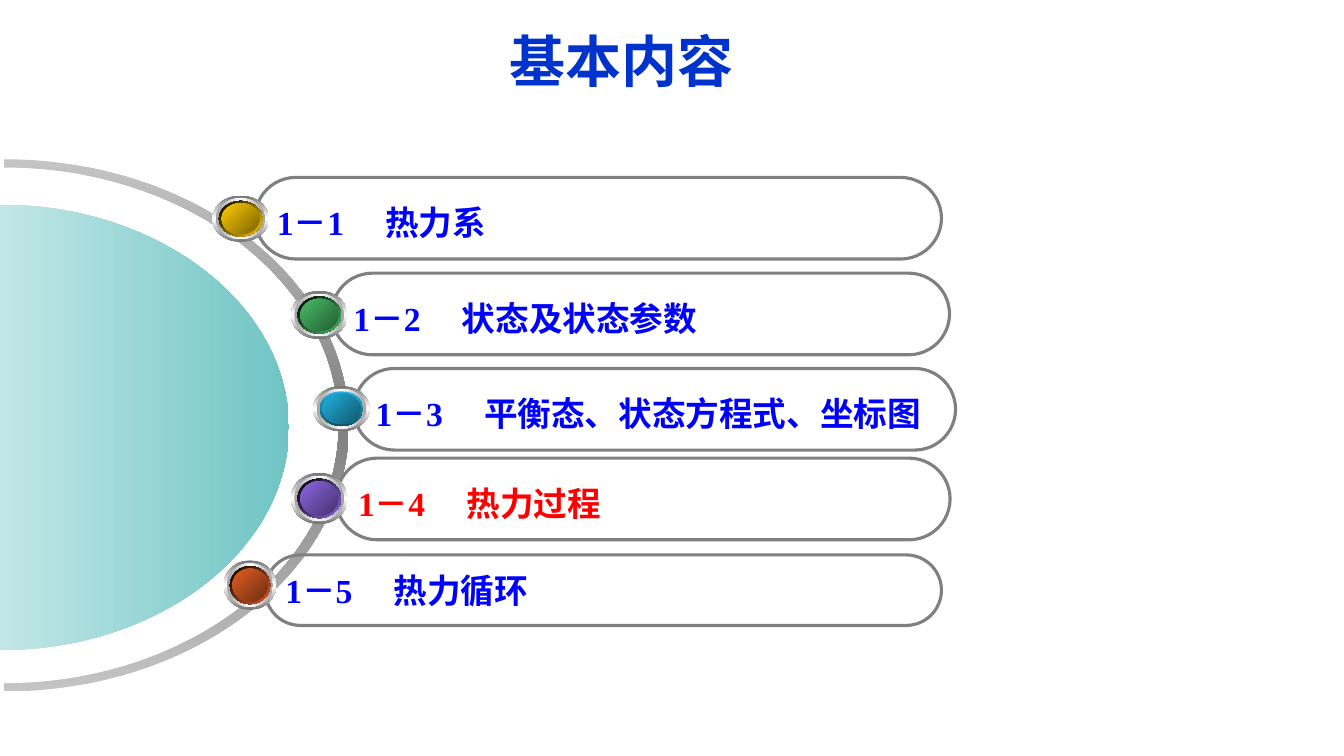
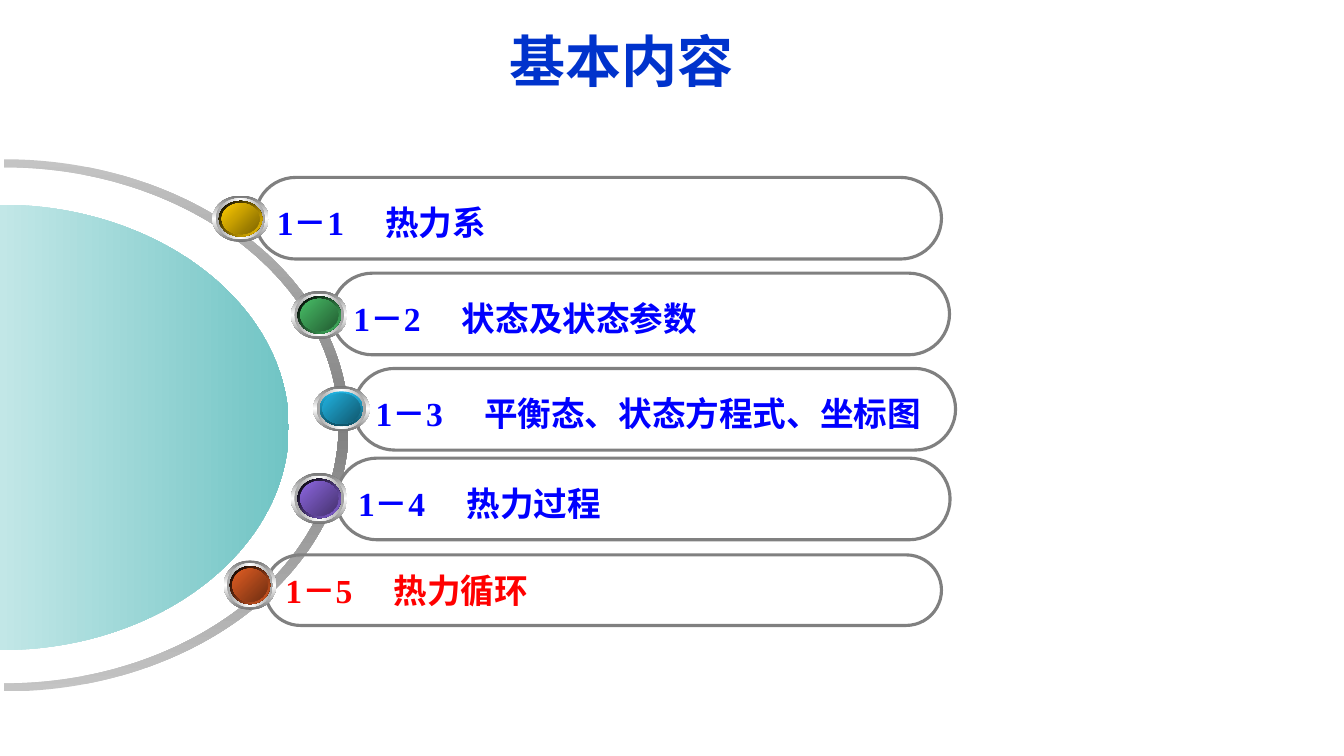
from dataclasses import dataclass

from lxml.etree import SubElement
from pptx import Presentation
from pptx.dml.color import RGBColor
from pptx.enum.shapes import MSO_SHAPE as Shape
from pptx.enum.text import MSO_ANCHOR as Anchor, PP_ALIGN as Align
from pptx.oxml.ns import qn
from pptx.util import Inches, Pt

CELL = Inches(0.1)  # the grid: every position and size is counted in cells
COLUMNS, ROWS = 133.33, 75
TITLE_TAB = 10.75
ARC_PULL = 0.55  # share of the way to the corner that bends a quarter ellipse

COLOURS = {
    "title": "0033CC", "item": "0000FF", "current": "FF0000",
    "outline": "808080", "arc_end": "C4C4C4", "arc_middle": "808080",
    "disc_left": "C2E7E7", "disc_right": "70C4C4",
    "rim": "767676", "bevel": "A2A2A2", "shine": "FFFFFF", "shade": "000000",
}


@dataclass
class Topic:
    number: str
    title: str
    pill: tuple  # left, top, width, height
    bead: tuple  # centre x, centre y, width, height
    colour: str
    dark: str
    socket: tuple = ()  # colours and angle, when not shaded from black
    spacing: float = 1.2


TOPICS = [
    Topic("1－1", "热力系", (25.3, 17.6, 68.1, 8.1),
          (23.87, 21.7, 5.6, 4.6), "FFCC00", "7C6300"),
    Topic("1－2", "状态及状态参数", (32.9, 27.1, 61.3, 8.1),
          (31.67, 31.25, 5.6, 4.8), "48BE67", "235C32"),
    Topic("1－3", "平衡态、状态方程式、坐标图", (35.1, 36.55, 59.7, 8.1),
          (33.87, 40.55, 5.6, 4.5), "21B3E1", "10576D",
          socket=(("21B3E1", "0F5368"), 90)),
    Topic("1－4", "热力过程", (33.35, 45.45, 60.9, 8.1),
          (31.67, 49.45, 5.6, 5.1), "8D67E1", "45326D"),
    Topic("1－5", "热力循环", (26.3, 55.05, 67.1, 7),
          (24.8, 58.05, 5.2, 4.9), "E35E23", "6E2E11", spacing=1),
]


def cells(*counts):
    return [round(count * CELL) for count in counts]


def rgb(name):
    return RGBColor.from_string(COLOURS[name])


def fill_gradient(shape, colours, angle):
    """Spread the colours evenly; the angle turns clockwise from left-to-right."""
    shape.shadow.inherit = False
    shape.line.fill.background()
    shape.fill.gradient()
    gradient = shape._element.spPr.find(qn("a:gradFill"))
    stops = gradient.find(qn("a:gsLst"))
    for stop in list(stops):
        stops.remove(stop)
    for index, colour in enumerate(colours):
        position = round(100000 * index / (len(colours) - 1))
        stop = SubElement(stops, qn("a:gs"), pos=str(position))
        SubElement(stop, qn("a:srgbClr"), val=colour)
    gradient.find(qn("a:lin")).set("ang", str(angle * 60000))


def half_ellipse(left, middle, width, height):
    """Top, right and bottom of the right half of an ellipse."""
    return [cells(left, middle - height), cells(left + width, middle),
            cells(left, middle + height)]


def bend_slanted_lines(shape):
    """Turn each slanted line of a freeform into a quarter ellipse."""
    outline = shape._element.spPr.find(".//" + qn("a:path"))
    start = None
    for step in outline:
        point = step.find(qn("a:pt"))
        if point is None:
            continue
        end = int(point.get("x")), int(point.get("y"))
        if start and start[0] != end[0]:
            corner = max(start, end)[0], min(start, end)[1]
            step.tag = qn("a:cubicBezTo")
            step.remove(point)
            for origin, pull in ((start, ARC_PULL), (end, ARC_PULL), (end, 0)):
                x, y = (round(o + pull * (c - o)) for o, c in zip(origin, corner))
                SubElement(step, qn("a:pt"), x=str(x), y=str(y))
        start = end


def add_outline(page, points):
    builder = page.shapes.build_freeform(*points[0])
    builder.add_line_segments(points[1:], close=True)
    shape = builder.convert_to_shape()
    bend_slanted_lines(shape)
    return shape


def add_backdrop(page):
    ring = half_ellipse(0.4, 42.2, 34.2, 26.4) + half_ellipse(0.4, 42.2, 33.2, 25.6)[::-1]
    end, middle = COLOURS["arc_end"], COLOURS["arc_middle"]
    fill_gradient(add_outline(page, ring), [end, middle, end], 90)
    disc = add_outline(page, half_ellipse(0, 42.4, 28.65, 22.1))
    fill_gradient(disc, [COLOURS["disc_left"], COLOURS["disc_right"]], 0)


def style_text(paragraph, font, size, colour):
    paragraph.font.name = font
    paragraph.font.size = Pt(size)
    paragraph.font.bold = True
    paragraph.font.color.rgb = rgb(colour)


def add_title(page, text):
    box = page.shapes.add_textbox(*cells(18.65, 2.1, 86, 7.7))
    box.text_frame.word_wrap = True
    box.text_frame.vertical_anchor = Anchor.BOTTOM
    para = box.text_frame.paragraphs[0]
    para.text = text
    para.alignment = Align.CENTER
    style_text(para, "Arial", 40, "title")


def add_pill(page, topic, colour):
    pill = page.shapes.add_shape(Shape.ROUNDED_RECTANGLE, *cells(*topic.pill))
    pill.adjustments[0] = 0.5
    pill.shadow.inherit = False
    pill.fill.background()
    pill.line.color.rgb = rgb("outline")
    pill.line.width = Pt(2.25)
    pill.text_frame.word_wrap = True
    pill.text_frame.vertical_anchor = Anchor.MIDDLE
    para = pill.text_frame.paragraphs[0]
    para.text = f"{topic.number}\t{topic.title}"
    tabs = SubElement(para._p.get_or_add_pPr(), qn("a:tabLst"))
    SubElement(tabs, qn("a:tab"), pos=str(cells(TITLE_TAB)[0]), algn="l")
    para.alignment = Align.LEFT
    para.line_spacing = topic.spacing
    style_text(para, "Times New Roman", 24, colour)


def add_bead(page, topic):
    """Stack concentric ellipses: rim, bevel, socket and coloured face."""
    rim, bevel, shine = (COLOURS[name] for name in ("rim", "bevel", "shine"))
    socket = topic.socket or ((COLOURS["shade"], topic.colour), 45)
    layers = [
        (1, (rim, shine, rim), 90),
        (0.88, (bevel, shine, bevel), 0),
        (0.77, *socket),
        (0.67, (topic.colour, topic.dark), 45),
    ]
    centre_x, centre_y, full_width, full_height = topic.bead
    group = page.shapes.add_group_shape()
    for share, colours, angle in layers:
        width, height = full_width * share, full_height * share
        place = cells(centre_x - width / 2, centre_y - height / 2, width, height)
        fill_gradient(group.shapes.add_shape(Shape.OVAL, *place), colours, angle)


def add_contents_page(deck, current):
    page = deck.slides.add_slide(deck.slide_layouts[6])
    add_backdrop(page)
    for topic in reversed(TOPICS):
        add_pill(page, topic, "current" if topic.number == current else "item")
    for topic in TOPICS:
        add_bead(page, topic)
    add_title(page, "基本内容")


def main():
    deck = Presentation()
    deck.slide_width, deck.slide_height = cells(COLUMNS, ROWS)
    for current in ("1－4", "1－5"):
        add_contents_page(deck, current)
    deck.save("out.pptx")


if __name__ == "__main__":
    main()
